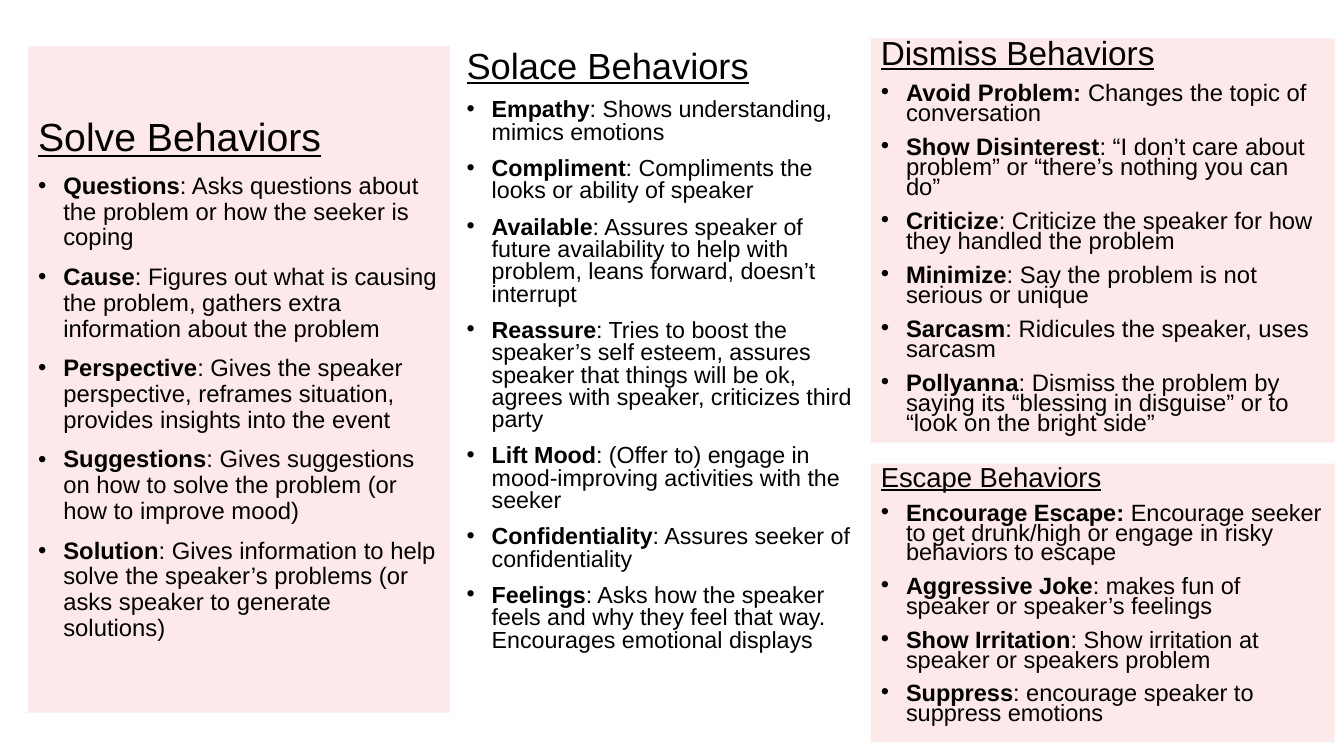
from pptx import Presentation
from pptx.dml.color import RGBColor
from pptx.enum.shapes import MSO_SHAPE
from pptx.enum.text import MSO_ANCHOR, PP_ALIGN
from pptx.oxml.ns import qn
from pptx.util import Emu, Inches, Pt
from lxml import etree

RECT = MSO_SHAPE.RECTANGLE
TOP, MIDDLE = MSO_ANCHOR.TOP, MSO_ANCHOR.MIDDLE
LEFT = PP_ALIGN.LEFT

FONT, INK, TINT, TINT_ALPHA = "Arial", "000000", "F36778", 15
INDENT, SPACE_BEFORE = 0.25, 10
COL_X, COL_W = (0.28, 4.53, 8.64), (4.18, 4.18, 4.6)

PANELS = [
    {"title": "Solve Behaviors", "col": 0, "top": 0.46, "height": 6.61,
     "sizes": (28, 17), "spacing": 0.9, "anchor": MIDDLE, "tinted": True,
     "items": [
         ("Questions", ": Asks questions about the problem or how the seeker is coping"),
         ("Cause", ": Figures out what is causing the problem, gathers extra information about the problem"),
         ("Perspective", ": Gives the speaker perspective, reframes situation, provides insights into the event"),
         ("Suggestions", ": Gives suggestions on how to solve the problem (or how to improve mood)"),
         ("Solution", ": Gives information to help solve the speaker’s problems (or asks speaker to generate solutions)"),
     ]},
    {"title": "Solace Behaviors", "col": 1, "top": 0.46, "height": 6.66,
     "sizes": (25.9, 16.6), "spacing": 0.8, "anchor": TOP, "tinted": False,
     "items": [
         ("Empathy", ": Shows understanding, mimics emotions"),
         ("Compliment", ": Compliments the looks or ability of speaker"),
         ("Available", ": Assures speaker of future availability to help with problem, leans forward, doesn’t interrupt"),
         ("Reassure", ": Tries to boost the speaker’s self esteem, assures speaker that things will be ok, "
                      "agrees with speaker, criticizes third party"),
         ("Lift Mood", ": (Offer to) engage in mood-improving activities with the seeker"),
         ("Confidentiality", ": Assures seeker of confidentiality"),
         ("Feelings", ": Asks how the speaker feels and why they feel that way. Encourages emotional displays"),
     ]},
    {"title": "Dismiss Behaviors", "col": 2, "top": 0.38, "height": 4.01,
     "sizes": (23.8, 17), "spacing": 0.7, "anchor": TOP, "tinted": True,
     "items": [
         ("Avoid Problem: ", "Changes the topic of conversation"),
         ("Show Disinterest", ": “I don’t care about problem” or “there’s nothing you can do”"),
         ("Criticize", ": Criticize the speaker for how they handled the problem"),
         ("Minimize", ": Say the problem is not serious or unique"),
         ("Sarcasm", ": Ridicules the speaker, uses sarcasm"),
         ("Pollyanna", ": Dismiss the problem by saying its “blessing in disguise” or to “look on the bright side”"),
     ]},
    {"title": "Escape Behaviors", "col": 2, "top": 4.6, "height": 2.76,
     "sizes": (19.6, 16.8), "spacing": 0.7, "anchor": TOP, "tinted": True,
     "items": [
         ("Encourage Escape: ", "Encourage seeker to get drunk/high or engage in risky behaviors to escape"),
         ("Aggressive Joke", ": makes fun of speaker or speaker’s feelings"),
         ("Show Irritation", ": Show irritation at speaker or speakers problem"),
         ("Suppress", ": encourage speaker to suppress emotions"),
     ]},
]


def color(hex_text):
    return RGBColor.from_string(hex_text)


def add_run(p, text, size, bold=False, underline=False):
    r = p.add_run()
    r.text = text
    r.font.name, r.font.size = FONT, Pt(size)
    r.font.bold, r.font.underline = bold, underline
    r.font.color.rgb = color(INK)


def add_bullet(p):
    pPr = p._p.get_or_add_pPr()
    pPr.set("marL", str(Inches(INDENT)))
    pPr.set("indent", str(-Inches(INDENT)))
    etree.SubElement(pPr, qn("a:buFont")).set("typeface", FONT)
    etree.SubElement(pPr, qn("a:buChar")).set("char", "•")


def add_box(s, panel):
    box = [Inches(v) for v in (COL_X[panel["col"]], panel["top"],
                               COL_W[panel["col"]], panel["height"])]
    if not panel["tinted"]:
        return s.shapes.add_textbox(*box)
    sp = s.shapes.add_shape(RECT, *box)
    sp.shadow.inherit = False
    sp.line.fill.background()
    sp.fill.solid()
    sp.fill.fore_color.rgb = color(TINT)
    tint = sp.fill._xPr.find(qn("a:solidFill"))[0]
    etree.SubElement(tint, qn("a:alpha")).set("val", str(TINT_ALPHA * 1000))
    return sp


def add_panel(s, panel):
    tf = add_box(s, panel).text_frame
    tf.word_wrap = True
    tf.vertical_anchor = panel["anchor"]
    title_size, item_size = panel["sizes"]
    for i in range(len(panel["items"]) + 1):
        p = tf.add_paragraph() if i else tf.paragraphs[0]
        p.alignment = LEFT
        p.line_spacing = panel["spacing"]
        p.space_before = Pt(SPACE_BEFORE)
        if i:
            term, meaning = panel["items"][i - 1]
            add_bullet(p)
            add_run(p, term, item_size, bold=True)
            add_run(p, meaning, item_size)
        else:
            add_run(p, panel["title"], title_size, underline=True)


def main():
    """Build the slide of support behaviors in three columns."""
    prs = Presentation()
    prs.slide_width, prs.slide_height = Emu(12192000), Inches(7.5)
    s = prs.slides.add_slide(prs.slide_layouts[6])
    for panel in PANELS:
        add_panel(s, panel)
    prs.save("out.pptx")


if __name__ == "__main__":
    main()
